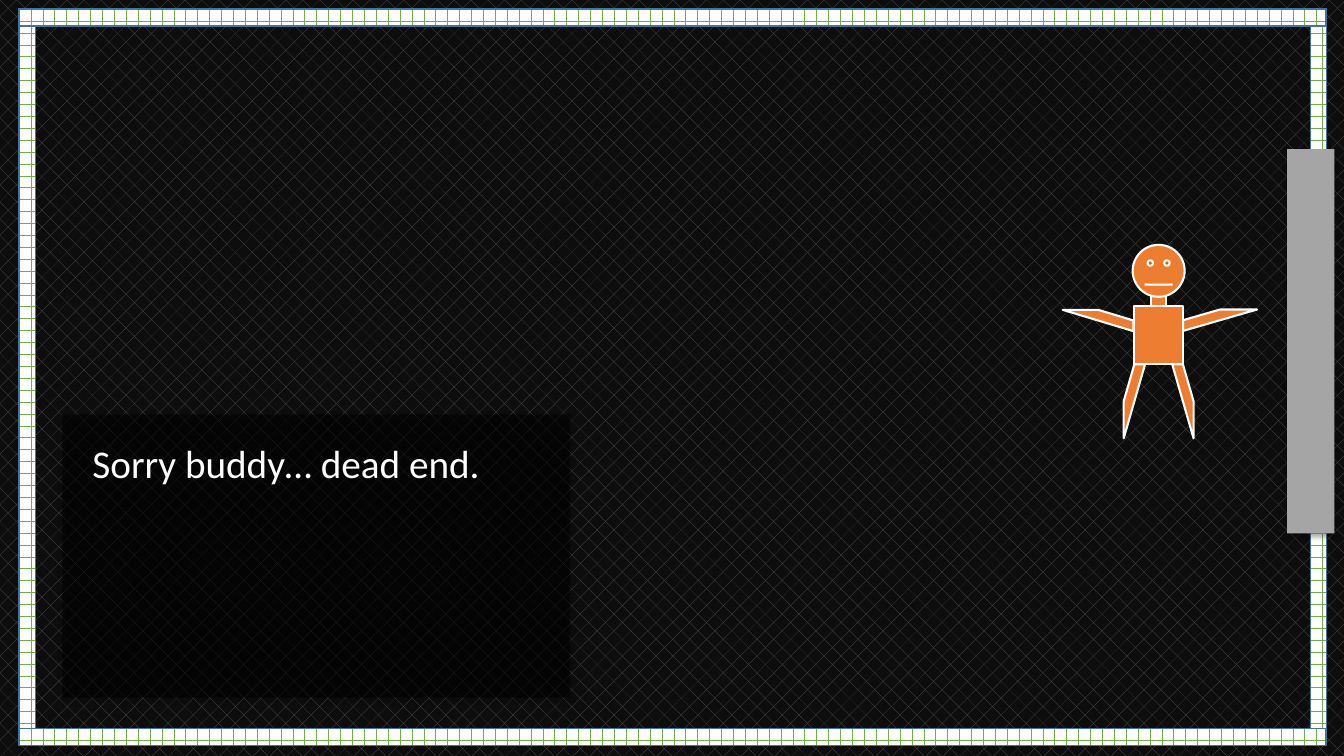
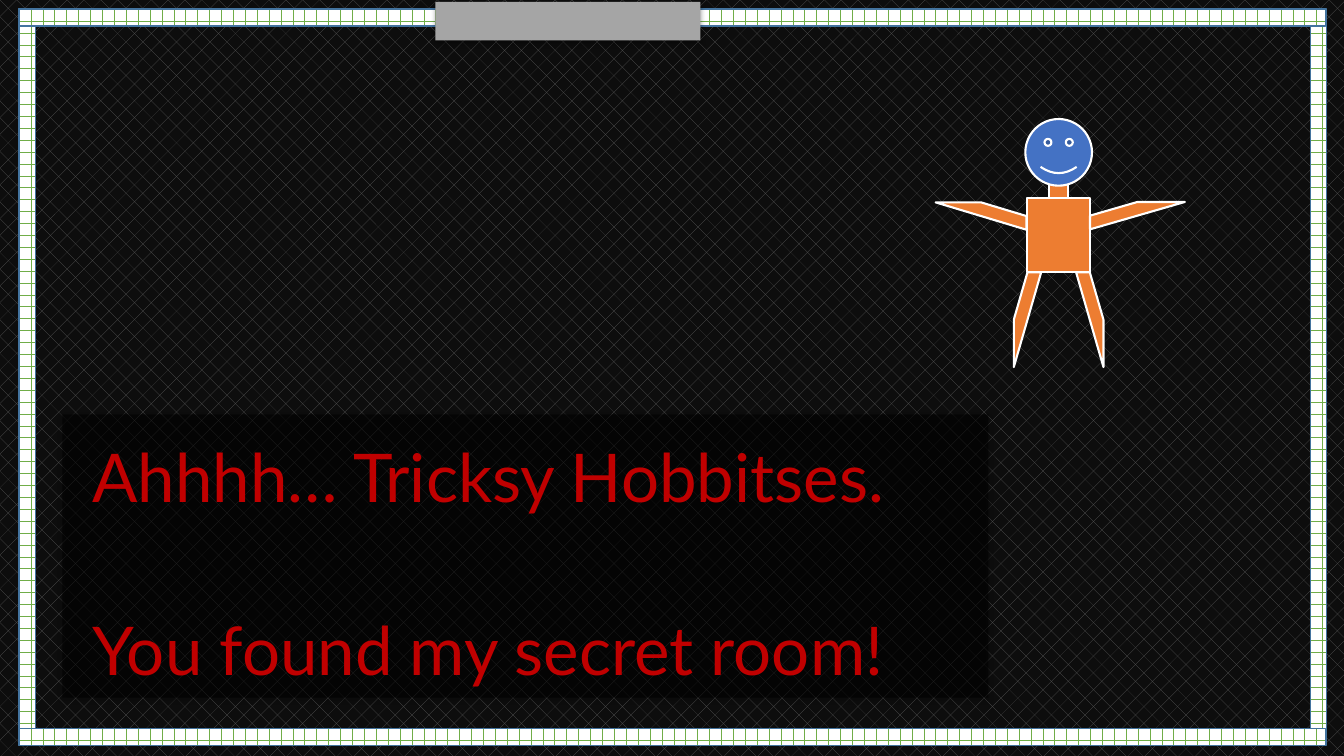
from dataclasses import dataclass

from lxml.etree import SubElement
from pptx import Presentation
from pptx.dml.color import RGBColor
from pptx.dml.fill import FillFormat
from pptx.enum.dml import MSO_PATTERN
from pptx.enum.shapes import MSO_SHAPE
from pptx.enum.text import MSO_ANCHOR, MSO_AUTO_SIZE
from pptx.oxml.ns import qn
from pptx.shapes.autoshape import Shape
from pptx.shapes.group import GroupShape
from pptx.slide import Slide, SlideLayout
from pptx.text.text import TextFrame
from pptx.util import Cm, Pt


@dataclass(frozen=True)
class Theme:
    dark: str = "0D0D0D"
    weave: str = "595959"
    brick: str = "70AD47"
    edge: str = "43739E"
    white: str = "FFFFFF"
    black: str = "000000"
    door: str = "A5A5A5"
    orange: str = "ED7D31"
    blue: str = "4472C4"
    red: str = "C00000"
    small: int = 28
    large: int = 48


@dataclass(frozen=True)
class Box:
    left: float
    top: float
    width: float
    height: float

    def cm(self) -> tuple[Cm, Cm, Cm, Cm]:
        return Cm(self.left), Cm(self.top), Cm(self.width), Cm(self.height)


@dataclass(frozen=True)
class Limb:
    kind: MSO_SHAPE
    box: Box  # left is measured from the figure's axis, top from its crown
    turn: int = 0
    flips: tuple[str, ...] = ()


@dataclass(frozen=True)
class Figure:
    axis: float
    top: float
    scale: float
    head: str
    smile: float


@dataclass(frozen=True)
class Room:
    lines: tuple[str, ...]
    width: float
    size: int
    font: str
    color: str
    door: Box
    figure: Figure


THEME = Theme()

STRIPE = MSO_SHAPE.DIAGONAL_STRIPE
LIMBS = (
    Limb(MSO_SHAPE.RECTANGLE, Box(-0.24, 1.63, 0.48, 0.48)),
    Limb(MSO_SHAPE.SMILEY_FACE, Box(-0.84, 0, 1.68, 1.68)),
    Limb(MSO_SHAPE.RECTANGLE, Box(-0.8, 1.98, 1.6, 1.88)),
    Limb(STRIPE, Box(-1.13, 3.86, 0.69, 2.39)),
    Limb(STRIPE, Box(0.44, 3.86, 0.69, 2.39), flips=("flipH",)),
    Limb(STRIPE, Box(1.64, 1.24, 0.69, 2.39), 270, ("flipH",)),
    Limb(STRIPE, Box(-2.3, 1.3, 0.69, 2.29), 270, ("flipH", "flipV")),
)

ROOMS = (
    Room(("Sorry buddy… dead end.",), 12.8, THEME.small, "Calibri", THEME.white,
         Box(32.44, 3.76, 1.19, 9.68), Figure(29.2, 6.17, 0.78, THEME.orange, 0.001)),
    Room(("Ahhhh… Tricksy Hobbitses.", "You found my secret room!"),
         23.34, THEME.large, "Lato", THEME.red,
         Box(10.97, 0.05, 6.68, 0.97), Figure(26.68, 3, 1, THEME.blue, 0.047)),
)


def rgb(code: str) -> RGBColor:
    return RGBColor.from_string(code)


def weave(fill: FillFormat, kind: MSO_PATTERN, fore: str, back: str) -> None:
    fill.patterned()
    fill.pattern = kind
    fill.fore_color.rgb = rgb(fore)
    fill.back_color.rgb = rgb(back)


def paint(shape: Shape, color: str) -> None:
    shape.fill.solid()
    shape.fill.fore_color.rgb = rgb(color)
    shape.shadow.inherit = False


def stroke(shape: Shape, color: str, width: float) -> None:
    shape.line.color.rgb = rgb(color)
    shape.line.width = Pt(width)


def fade(color, share: int) -> None:
    SubElement(color, qn("a:alpha")).set("val", str(share * 1000))


def panel(shape: Shape, color: str) -> None:
    """Borderless fill with a soft shadow straight below."""
    paint(shape, color)
    shape.line.fill.background()
    effects = shape.element.spPr.find(qn("a:effectLst"))
    cast = SubElement(effects, qn("a:outerShdw"), blurRad=str(Pt(3.5)),
                      dist=str(Pt(2.2)), dir="5400000", rotWithShape="0")
    fade(SubElement(cast, qn("a:srgbClr"), val=THEME.black), 32)


def write(frame: TextFrame, lines: tuple[str, ...], *, size: int, font: str,
          color: str, gap: float) -> None:
    frame.word_wrap = True
    frame.auto_size = MSO_AUTO_SIZE.NONE
    frame.vertical_anchor = MSO_ANCHOR.TOP
    frame.margin_left = frame.margin_top = Cm(0.76)
    frame.margin_right, frame.margin_bottom = Cm(0.25), Cm(0.13)
    for row, line in enumerate(lines):
        para = frame.add_paragraph() if row else frame.paragraphs[0]
        para.line_spacing = 0.9
        para.space_before = Pt(gap if row else 10)
        props = para._p.get_or_add_pPr()
        props.set("marL", "0")
        props.set("indent", "0")
        SubElement(props, qn("a:buNone"))
        run = para.add_run()
        run.text = line
        run.font.size = Pt(size)
        run.font.name = font
        run.font.color.rgb = rgb(color)


def strip(layout: SlideLayout) -> None:
    """Keep only the body placeholder and set the background."""
    for holder in list(layout.placeholders):
        if holder.placeholder_format.idx != 1:
            layout.shapes.element.remove(holder.element)
    weave(layout.background.fill, MSO_PATTERN.DIAGONAL_BRICK, THEME.weave, THEME.dark)


def border(slide: Slide, layout: SlideLayout) -> None:
    """Build the brick frame and hand it to the layout."""
    group: GroupShape = slide.shapes.add_group_shape()
    sides = [Box(left, 0.23, 0.41, 18.54) for left in (0.48, 33.02)]
    sides += [Box(0.48, top, 32.92, 0.43) for top in (18.36, 0.23)]
    for side in sides:
        wall = group.shapes.add_shape(MSO_SHAPE.RECTANGLE, *side.cm())
        weave(wall.fill, MSO_PATTERN.HORIZONTAL_BRICK, THEME.brick, THEME.white)
        stroke(wall, THEME.edge, 1)
        wall.shadow.inherit = False
    for number, props in enumerate(group.element.xpath(".//p:cNvPr"), 20):
        props.set("id", str(number))
    layout.shapes.element.append(group.element)


def person(slide: Slide, figure: Figure) -> None:
    group = slide.shapes.add_group_shape()
    size = figure.scale
    for limb in LIMBS:
        box = limb.box
        place = Box(figure.axis + box.left * size, figure.top + box.top * size,
                    box.width * size, box.height * size)
        part = group.shapes.add_shape(limb.kind, *place.cm())
        face = limb.kind == MSO_SHAPE.SMILEY_FACE
        paint(part, figure.head if face else THEME.orange)
        stroke(part, THEME.white, 1.5)
        if face:
            part.adjustments[0] = figure.smile
        part.rotation = limb.turn
        for flip in limb.flips:
            part.element.spPr.find(qn("a:xfrm")).set(flip, "1")


def fill_room(slide: Slide, room: Room) -> None:
    # Message
    note = slide.placeholders[1]
    note.left, note.top, note.width, note.height = Box(1.57, 10.44, room.width, 7.14).cm()
    panel(note, THEME.black)
    fade(note.element.spPr.find(qn("a:solidFill"))[0], 50)
    write(note.text_frame, room.lines, size=room.size, font=room.font,
          color=room.color, gap=72)
    # Door and figure
    panel(slide.shapes.add_shape(MSO_SHAPE.RECTANGLE, *room.door.cm()), THEME.door)
    person(slide, room.figure)


def main() -> None:
    deck = Presentation()
    deck.slide_width, deck.slide_height = Cm(33.87), Cm(19.05)
    layout = deck.slide_layouts.get_by_name("Title and Content")
    strip(layout)
    slides = [deck.slides.add_slide(layout) for _ in ROOMS]
    border(slides[0], layout)
    for slide, room in zip(slides, ROOMS):
        fill_room(slide, room)
    deck.save("out.pptx")


if __name__ == "__main__":
    main()
